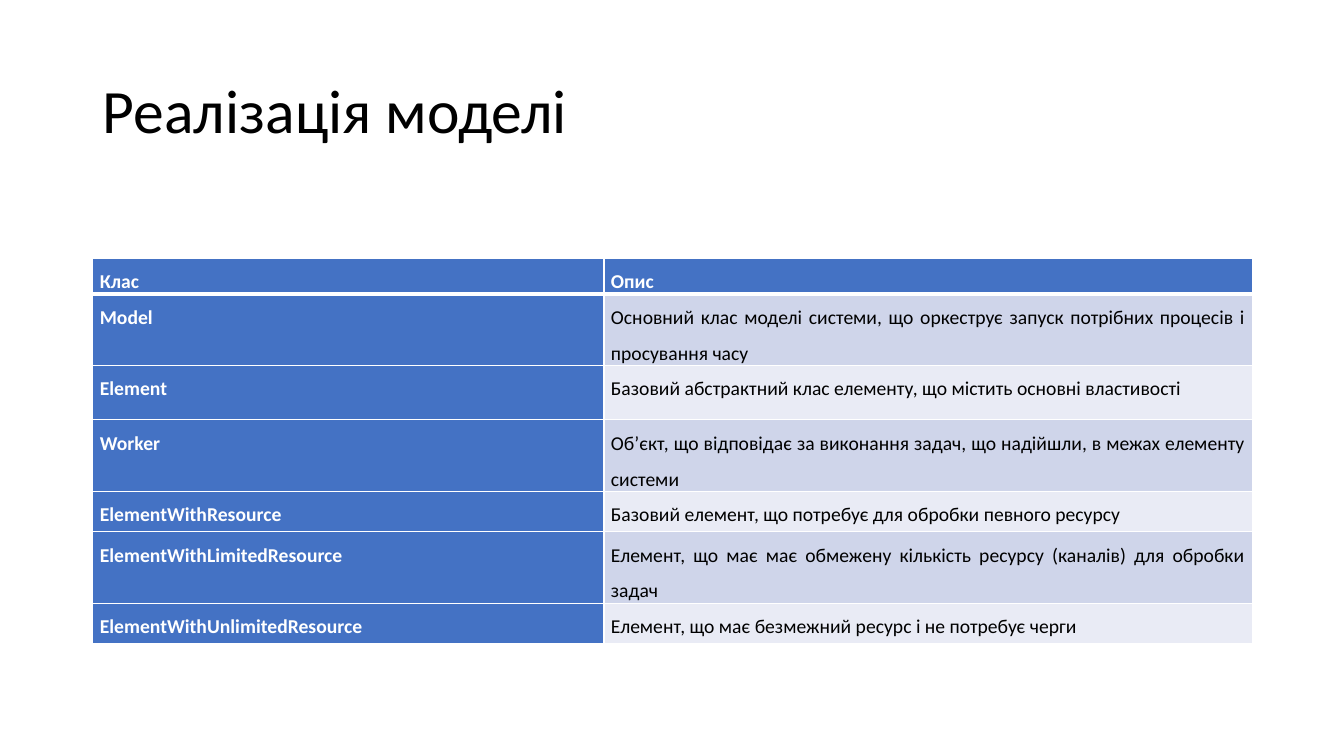
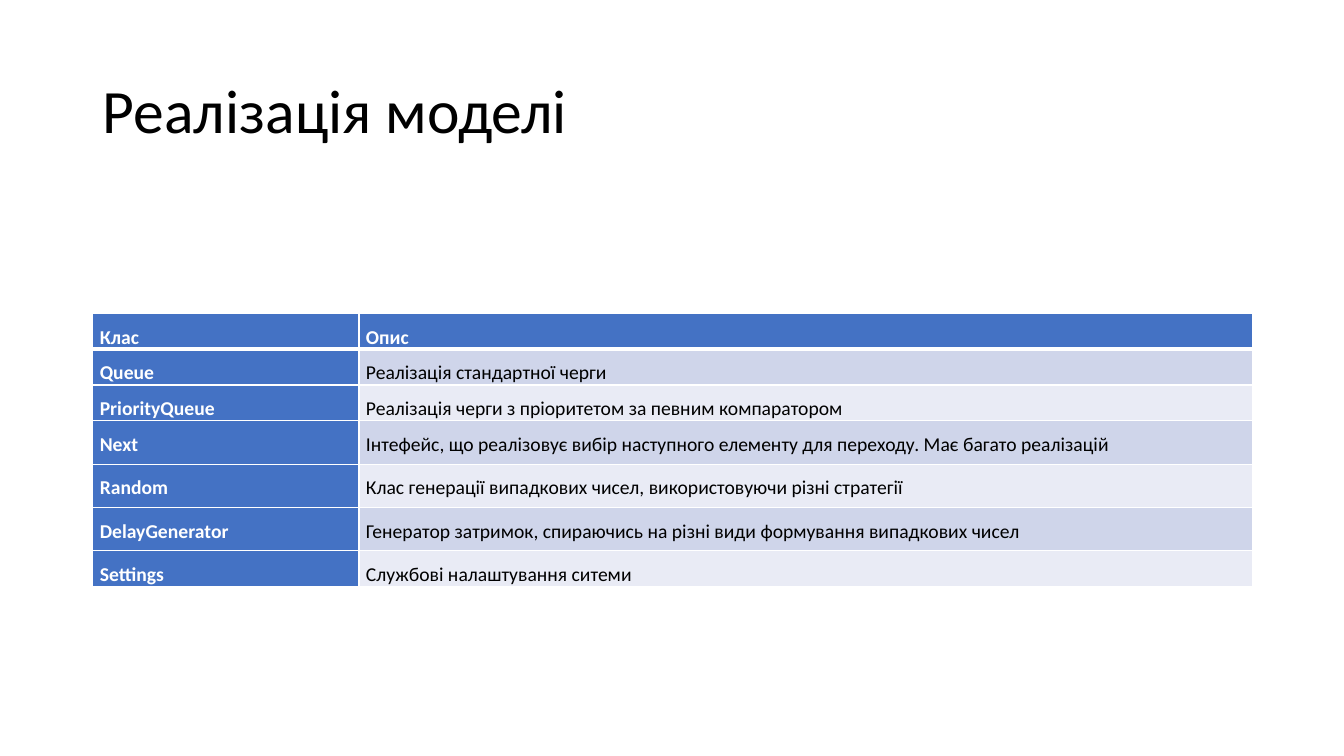
from lxml.etree import SubElement
from pptx import Presentation
from pptx.dml.color import RGBColor
from pptx.enum.text import MSO_ANCHOR, PP_ALIGN
from pptx.oxml.ns import qn
from pptx.util import Inches, Pt

FONT = "Calibri"
WHITE, BLACK, BLUE = "FFFFFF", "000000", "4472C4"
BANDS = ("CFD5EA", "E9EBF5")
LEFT, WIDTH = 0.92, 11.5
TITLE = "Реалізація моделі"
HEADER = ("Клас", "Опис", 0.35)

# Each row: class, description, height in inches
SLIDES = [
    {
        "top": 2.56,
        "class_width": 5.07,
        "rows": [
            ("Model", "Основний клас моделі системи, що оркеструє запуск "
             "потрібних процесів і просування часу", 0.7),
            ("Element", "Базовий абстрактний клас елементу, що містить "
             "основні властивості", 0.54),
            ("Worker", "Об’єкт, що відповідає за виконання задач, що "
             "надійшли, в межах елементу системи", 0.7),
            ("ElementWithResource", "Базовий елемент, що потребує для "
             "обробки певного ресурсу", 0.4),
            ("ElementWithLimitedResource", "Елемент, що має має обмежену "
             "кількість ресурсу (каналів) для обробки задач", 0.7),
            ("ElementWithUnlimitedResource", "Елемент, що має безмежний "
             "ресурс і не потребує черги", 0.4),
        ],
    },
    {
        "top": 3.11,
        "class_width": 2.64,
        "rows": [
            ("Queue", "Реалізація стандартної черги", 0.35),
            ("PriorityQueue", "Реалізація черги з пріоритетом за певним "
             "компаратором", 0.35),
            ("Next", "Інтефейс, що реалізовує вибір наступного елементу для "
             "переходу. Має багато реалізацій", 0.43),
            ("Random", "Клас генерації випадкових чисел, використовуючи "
             "різні стратегії", 0.43),
            ("DelayGenerator", "Генератор затримок, спираючись на різні види "
             "формування випадкових чисел", 0.43),
            ("Settings", "Службові налаштування ситеми", 0.35),
        ],
    },
]


def rgb(value):
    return RGBColor.from_string(value)


def format_text(text_frame, size, color, bold, align, spacing):
    paragraph = text_frame.paragraphs[0]
    paragraph.alignment = align
    paragraph.line_spacing = spacing
    font = paragraph.runs[0].font
    font.name, font.size, font.bold = FONT, Pt(size), bold
    font.color.rgb = rgb(color)


def add_title(slide):
    title = slide.shapes.title
    title.left, title.top = Inches(LEFT), Inches(0.4)
    title.width, title.height = Inches(WIDTH), Inches(1.45)
    title.text_frame.text = TITLE
    title.text_frame.vertical_anchor = MSO_ANCHOR.MIDDLE
    format_text(title.text_frame, 44, BLACK, False, PP_ALIGN.LEFT, 0.9)


def set_borders(cell, top, bottom):
    """Draw white borders; top and bottom are widths in points."""
    properties = cell._tc.get_or_add_tcPr()
    for side, width in (("L", 1), ("R", 1), ("T", top), ("B", bottom)):
        line = SubElement(properties, qn(f"a:ln{side}"), w=str(Pt(width)))
        fill = SubElement(line, qn("a:solidFill"))
        SubElement(fill, qn("a:srgbClr"), val=WHITE)


def fill_cell(cell, text, row, column):
    is_heading = row == 0 or column == 0
    # The line under the header row is thicker
    set_borders(cell, top=3 if row == 1 else 1, bottom=3 if row == 0 else 1)
    cell.fill.solid()
    cell.fill.fore_color.rgb = rgb(BLUE if is_heading else BANDS[(row - 1) % 2])
    cell.margin_left = cell.margin_right = Inches(0.07)
    cell.margin_top = cell.margin_bottom = 0
    cell.text_frame.text = text
    format_text(cell.text_frame, 14, WHITE if is_heading else BLACK,
                is_heading, PP_ALIGN.JUSTIFY, 1.5)


def add_class_table(slide, top, class_width, rows):
    rows = [HEADER, *rows]
    height = sum(row_height for _, _, row_height in rows)
    table = slide.shapes.add_table(
        len(rows), 2, Inches(LEFT), Inches(top), Inches(WIDTH), Inches(height)
    ).table
    table.columns[0].width = Inches(class_width)
    table.columns[1].width = Inches(WIDTH - class_width)
    for row, (*texts, row_height) in enumerate(rows):
        table.rows[row].height = Inches(row_height)
        for column, text in enumerate(texts):
            fill_cell(table.cell(row, column), text, row, column)


def main():
    presentation = Presentation()
    presentation.slide_width = Inches(13.33)
    presentation.slide_height = Inches(7.5)
    title_only = presentation.slide_layouts[5]
    for content in SLIDES:
        slide = presentation.slides.add_slide(title_only)
        add_title(slide)
        add_class_table(slide, **content)
    presentation.save("out.pptx")


if __name__ == "__main__":
    main()
